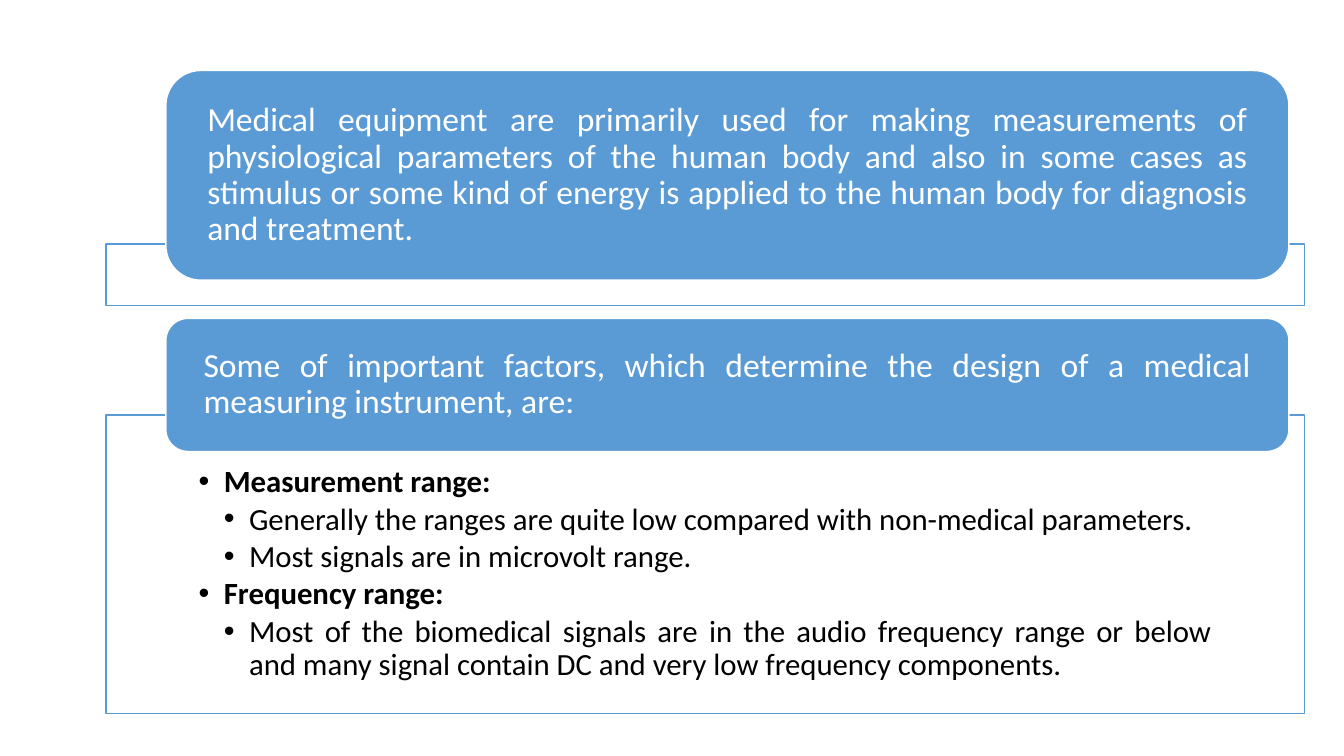
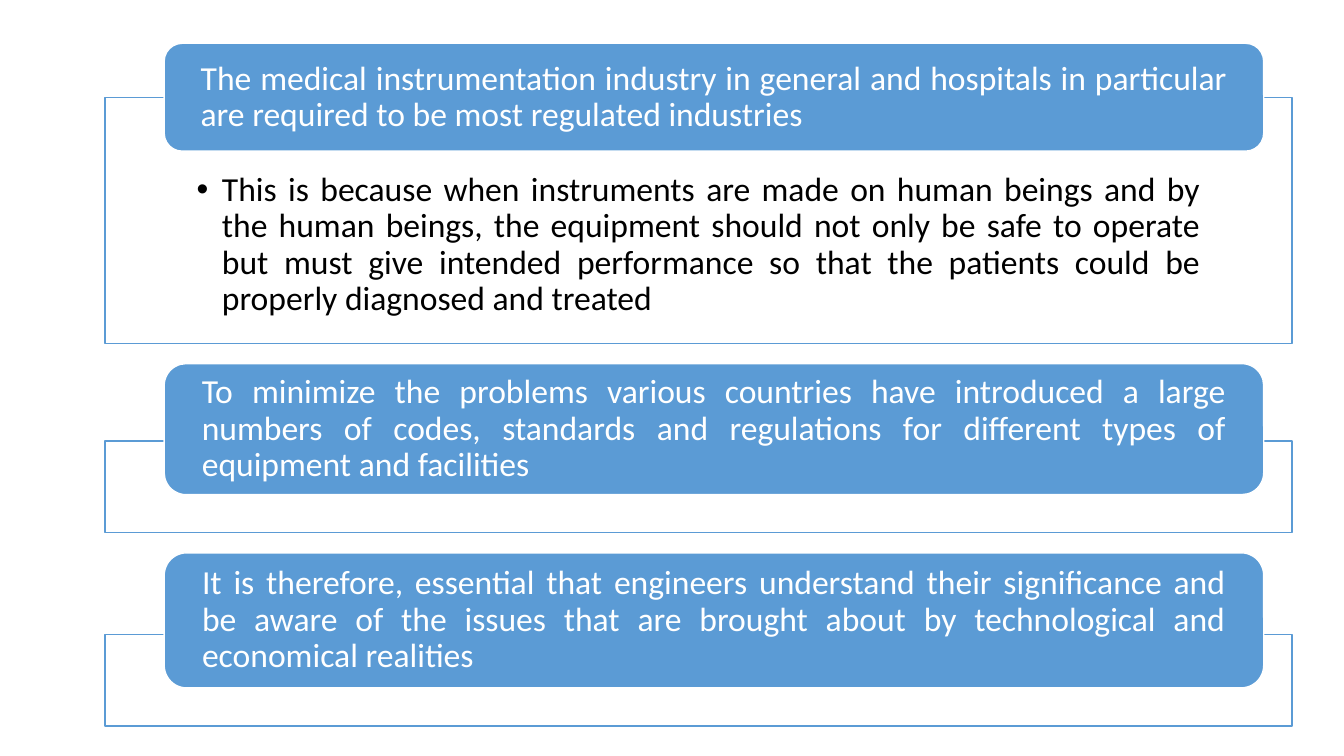
from lxml import etree
from pptx import Presentation
from pptx.dml.color import RGBColor
from pptx.enum.shapes import MSO_SHAPE
from pptx.enum.text import MSO_ANCHOR, PP_ALIGN
from pptx.oxml.ns import qn
from pptx.util import Inches, Pt

WIDE, HIGH = Inches(13.333), Inches(7.5)
RECT, ROUND = MSO_SHAPE.RECTANGLE, MSO_SHAPE.ROUNDED_RECTANGLE
TOP, MIDDLE = MSO_ANCHOR.TOP, MSO_ANCHOR.MIDDLE
JUSTIFY = PP_ALIGN.JUSTIFY
FONT = "Calibri"
COLOURS = {"blue": "5B9BD5", "white": "FFFFFF", "black": "000000"}
STEP = Inches(0.25)
PAD = Inches(0.31)

# Across: shares of the slide's width. Down: shares of its height.
# A card is (pill height, frame height, pill text, [(level, bold, text)]).
FACTORS = {
    "left": 0.0788, "width": 0.8918, "pill": 0.937,
    "top": 0.0933, "lap": 0.048, "gap": 0.0173, "size": 22,
    "cards": [
        (0.2773, 0.0813,
         "Medical equipment are primarily used for making measurements of "
         "physiological parameters of the human body and also in some cases "
         "as stimulus or some kind of energy is applied to the human body "
         "for diagnosis and treatment.", []),
        (0.176, 0.3947,
         "Some of important factors, which determine the design of a medical "
         "measuring instrument, are:",
         [(0, True, "Measurement range:"),
          (1, False, "Generally the ranges are quite low compared with "
                     "non-medical parameters."),
          (1, False, "Most signals are in microvolt range."),
          (0, True, "Frequency range:"),
          (1, False, "Most of the biomedical signals are in the audio "
                     "frequency range or below and many signal contain DC "
                     "and very low frequency components.")]),
    ],
}
RULES = {
    "left": 0.078, "width": 0.8835, "pill": 0.926,
    "top": 0.0573, "lap": 0.071, "gap": 0.0267, "size": 24,
    "cards": [
        (0.1427, 0.3253,
         "The medical instrumentation industry in general and hospitals in "
         "particular are required to be most regulated industries",
         [(0, False, "This is because when instruments are made on human "
                     "beings and by the human beings, the equipment should "
                     "not only be safe to operate but must give intended "
                     "performance so that the patients could be properly "
                     "diagnosed and treated")]),
        (0.1733, 0.1213,
         "To minimize the problems various countries have introduced a large "
         "numbers of codes, standards and regulations for different types of "
         "equipment and facilities", []),
        (0.1787, 0.1213,
         "It is therefore, essential that engineers understand their "
         "significance and be aware of the issues that are brought about by "
         "technological and economical realities", []),
    ],
}


def tint(name):
    return RGBColor.from_string(COLOURS[name])


def add_box(slide, kind, place, fill, line):
    left, top, width, height = place
    box = slide.shapes.add_shape(kind, int(left * WIDE), int(top * HIGH),
                                 int(width * WIDE), int(height * HIGH))
    box.shadow.inherit = False
    box.fill.solid()
    box.fill.fore_color.rgb = tint(fill)
    box.line.color.rgb = tint(line)
    box.line.width = Pt(1)
    return box


def fade(box, share):
    """Make a solid fill partly opaque."""
    colour = box.fill._xPr.find(qn("a:solidFill"))[0]
    etree.SubElement(colour, qn("a:alpha"), val=str(int(share * 100000)))


def set_frame(box, anchor, side, top=0, bottom=0):
    frame = box.text_frame
    frame.word_wrap = True
    frame.vertical_anchor = anchor
    frame.margin_left = frame.margin_right = int(side)
    frame.margin_top, frame.margin_bottom = int(top), int(bottom)
    return frame


def style(para, size, colour, bold=False):
    para.alignment = JUSTIFY
    para.line_spacing = 0.9
    for run in para.runs:
        font = run.font
        font.name, font.size, font.bold = FONT, Pt(size), bold
        font.color.rgb = tint(colour)


def add_bullet(para, level):
    para.level = level
    props = para._p.get_or_add_pPr()
    props.set("marL", str(STEP * (level + 1)))
    props.set("indent", str(-STEP))
    etree.SubElement(props, qn("a:buFont"), typeface="Arial")
    etree.SubElement(props, qn("a:buChar"), char="•")


def fill_list(box, items, size, side, top):
    frame = set_frame(box, TOP, side, top)
    for index, (level, bold, text) in enumerate(items):
        para = frame.add_paragraph() if index else frame.paragraphs[0]
        para.text = text
        add_bullet(para, level)
        style(para, size, "black", bold)
        para.space_after = Pt(3)


def add_pill(slide, place, text):
    pill = add_box(slide, ROUND, place, "blue", "white")
    frame = set_frame(pill, MIDDLE, PAD)
    frame.text = text
    style(frame.paragraphs[0], 24, "white")


def add_cards(slide, plan):
    """Stack the cards; each pill laps over the top of its frame."""
    left, width, lap = plan["left"], plan["width"], plan["lap"]
    top = plan["top"]
    for tall, deep, text, items in plan["cards"]:
        edge = top + tall - lap
        box = add_box(slide, RECT, (left, edge, width, deep), "white", "blue")
        fade(box, 0.9)
        if items:
            fill_list(box, items, plan["size"], box.width * 0.0774,
                      lap * HIGH * 1.4)
        add_pill(slide, (left + width * 0.05, top, width * plan["pill"], tall),
                 text)
        top = edge + deep + plan["gap"]


def main():
    deck = Presentation()
    deck.slide_width, deck.slide_height = WIDE, HIGH
    for plan in (FACTORS, RULES):
        add_cards(deck.slides.add_slide(deck.slide_layouts[6]), plan)
    deck.save("out.pptx")


if __name__ == "__main__":
    main()
